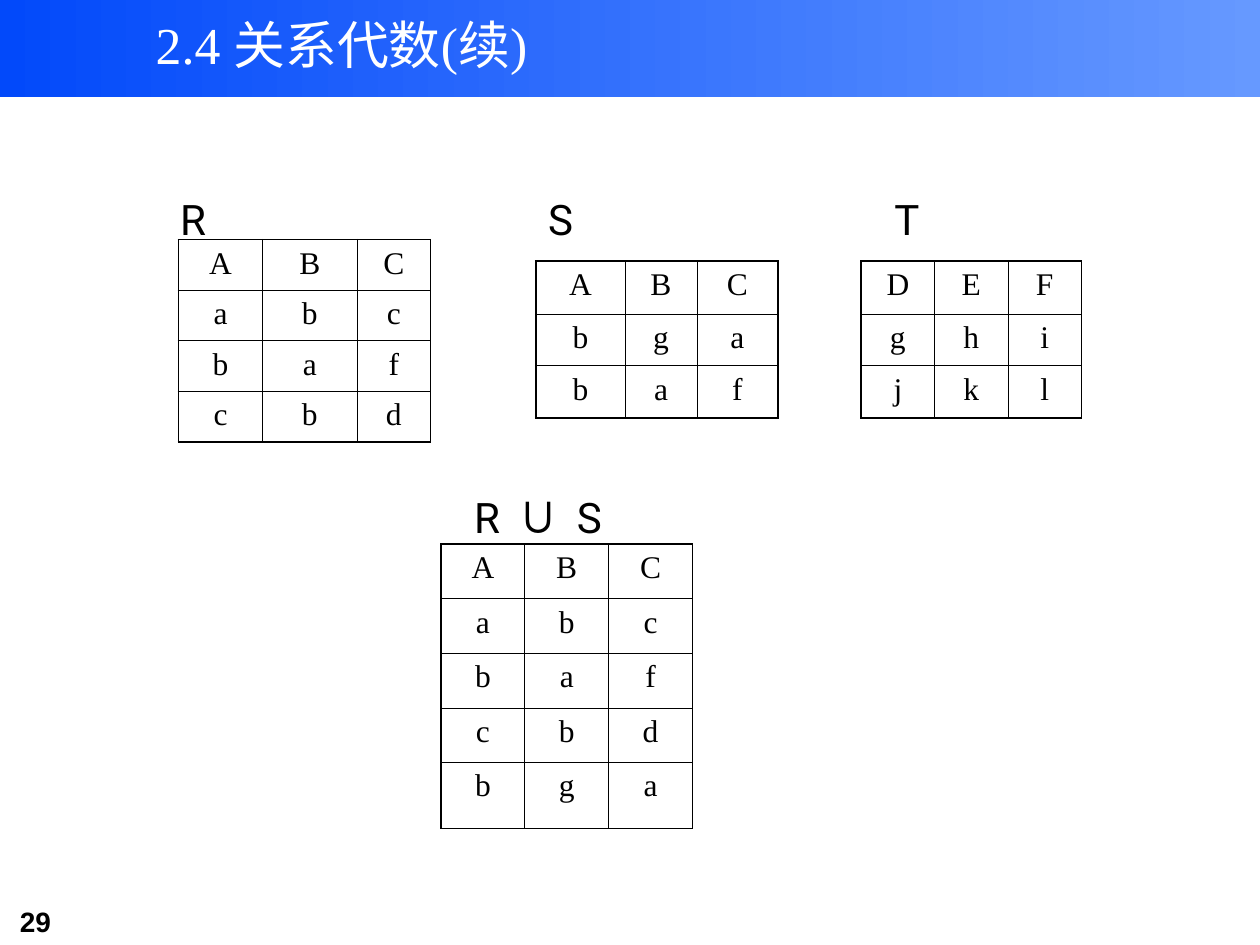
from dataclasses import dataclass
from typing import NamedTuple

from lxml.etree import SubElement
from pptx import Presentation
from pptx.dml.color import RGBColor
from pptx.enum.shapes import MSO_SHAPE as Shape
from pptx.enum.text import MSO_ANCHOR as Anchor, MSO_AUTO_SIZE as AutoSize, PP_ALIGN as Align
from pptx.oxml.ns import qn
from pptx.util import Cm, Pt

COLORS = {"bar_start": "0249FA", "bar_end": "6699FF", "title": "FFFFFF", "ink": "000000"}
SERIF, LABEL_FONT = "Times New Roman", "Roboto"
OUTER_LINE, INNER_LINE = 1.08, 0.45


class Run(NamedTuple):
    text: str
    size: float
    font: str


@dataclass
class Label:
    runs: list[Run]
    left: float
    top: float
    width: float
    height: float = 1.27


@dataclass
class Relation:
    """A relation table; each string in rows holds one letter per cell."""
    rows: list[str]
    left: float
    top: float
    widths: list[float]
    heights: list[float]


LABELS = [
    Label([Run("R", 24, LABEL_FONT)], 3.38, 3.78, 2.54),
    Label([Run("S", 24, LABEL_FONT)], 10.8, 3.78, 2.54),
    Label([Run("T", 24, LABEL_FONT)], 17.78, 3.78, 2.12),
    Label([Run("R ", 24, LABEL_FONT), Run("∪", 32, SERIF), Run(" S", 24, LABEL_FONT)],
          9.31, 9.5, 4.23, 1.63),
]
RELATIONS = [
    Relation(["ABC", "abc", "baf", "cbd"], 3.6, 4.83, [1.69, 1.91, 1.48], [1.02] * 4),
    Relation(["ABC", "bga", "baf"], 10.8, 5.26, [1.8, 1.45, 1.63], [1.08, 1.03, 1.06]),
    Relation(["DEF", "ghi", "jkl"], 17.36, 5.26, [1.48] * 3, [1.08, 1.03, 1.06]),
    Relation(["ABC", "abc", "baf", "cbd", "bga"], 8.89, 10.97, [1.69] * 3, [1.1] * 4 + [1.33]),
]


def write_text(frame, runs: list[Run], *, color: str = "ink", align=Align.LEFT,
               bold: bool = False) -> None:
    paragraph = frame.paragraphs[0]
    paragraph.alignment = align
    for item in runs:
        run = paragraph.add_run()
        run.text = item.text
        run.font.size = Pt(item.size)
        run.font.name = item.font
        run.font.bold = bold
        run.font.color.rgb = RGBColor.from_string(COLORS[color])


def add_label(slide, label: Label, **text_format) -> None:
    box = slide.shapes.add_textbox(Cm(label.left), Cm(label.top), Cm(label.width), Cm(label.height))
    box.text_frame.word_wrap = True
    box.text_frame.auto_size = AutoSize.SHAPE_TO_FIT_TEXT
    write_text(box.text_frame, label.runs, **text_format)


def set_borders(cell, outer_sides: dict[str, bool]) -> None:
    """Draw each side, heavier where it lies on the table's outline."""
    properties = cell._tc.get_or_add_tcPr()
    for side, is_outer in outer_sides.items():
        width = Pt(OUTER_LINE if is_outer else INNER_LINE)
        line = SubElement(properties, qn(f"a:ln{side}"), w=str(int(width)))
        fill = SubElement(line, qn("a:solidFill"))
        SubElement(fill, qn("a:srgbClr"), val=COLORS["ink"])


def add_relation(slide, relation: Relation) -> None:
    widths, heights = relation.widths, relation.heights
    table = slide.shapes.add_table(len(heights), len(widths), Cm(relation.left), Cm(relation.top),
                                   Cm(sum(widths)), Cm(sum(heights))).table
    table.first_row = table.horz_banding = False
    for column, width in zip(table.columns, widths):
        column.width = Cm(width)
    for row_index, letters in enumerate(relation.rows):
        table.rows[row_index].height = Cm(heights[row_index])
        for column_index, letter in enumerate(letters):
            cell = table.cell(row_index, column_index)
            set_borders(cell, {"L": column_index == 0, "R": column_index == len(widths) - 1,
                               "T": row_index == 0, "B": row_index == len(heights) - 1})
            cell.fill.background()
            write_text(cell.text_frame, [Run(letter, 18, SERIF)], align=Align.CENTER)


def add_title(slide) -> None:
    title = slide.shapes.title
    title.left, title.top, title.width, title.height = Cm(2.34), Cm(0.03), Cm(9.09), Cm(1.7)
    frame = title.text_frame
    frame.auto_size = AutoSize.NONE
    frame.vertical_anchor = Anchor.MIDDLE
    write_text(frame, [Run("2.4 关系代数(续)", 29.6, SERIF)], color="title", align=Align.CENTER)


def add_title_bar(slide, width: int) -> None:
    bar = slide.shapes.add_shape(Shape.RECTANGLE, 0, 0, width, Cm(1.96))
    bar.shadow.inherit = False
    bar.line.fill.background()
    bar.fill.gradient()
    bar.fill.gradient_angle = 0
    for stop, position, color in zip(bar.fill.gradient_stops, (0, 1), ("bar_start", "bar_end")):
        stop.position = position
        stop.color.rgb = RGBColor.from_string(COLORS[color])
    slide.shapes.title.element.addprevious(bar.element)


def main() -> None:
    presentation = Presentation()
    presentation.slide_width, presentation.slide_height = Cm(25.4), Cm(19.05)
    slide = presentation.slides.add_slide(presentation.slide_layouts[5])
    add_title(slide)
    add_title_bar(slide, presentation.slide_width)
    add_label(slide, Label([Run("29", 16, "Arial")], 0.15, 18.11, 3.1, 0.94), bold=True)
    for relation in RELATIONS:
        add_relation(slide, relation)
    for label in LABELS:
        add_label(slide, label)
    presentation.save("out.pptx")


if __name__ == "__main__":
    main()
